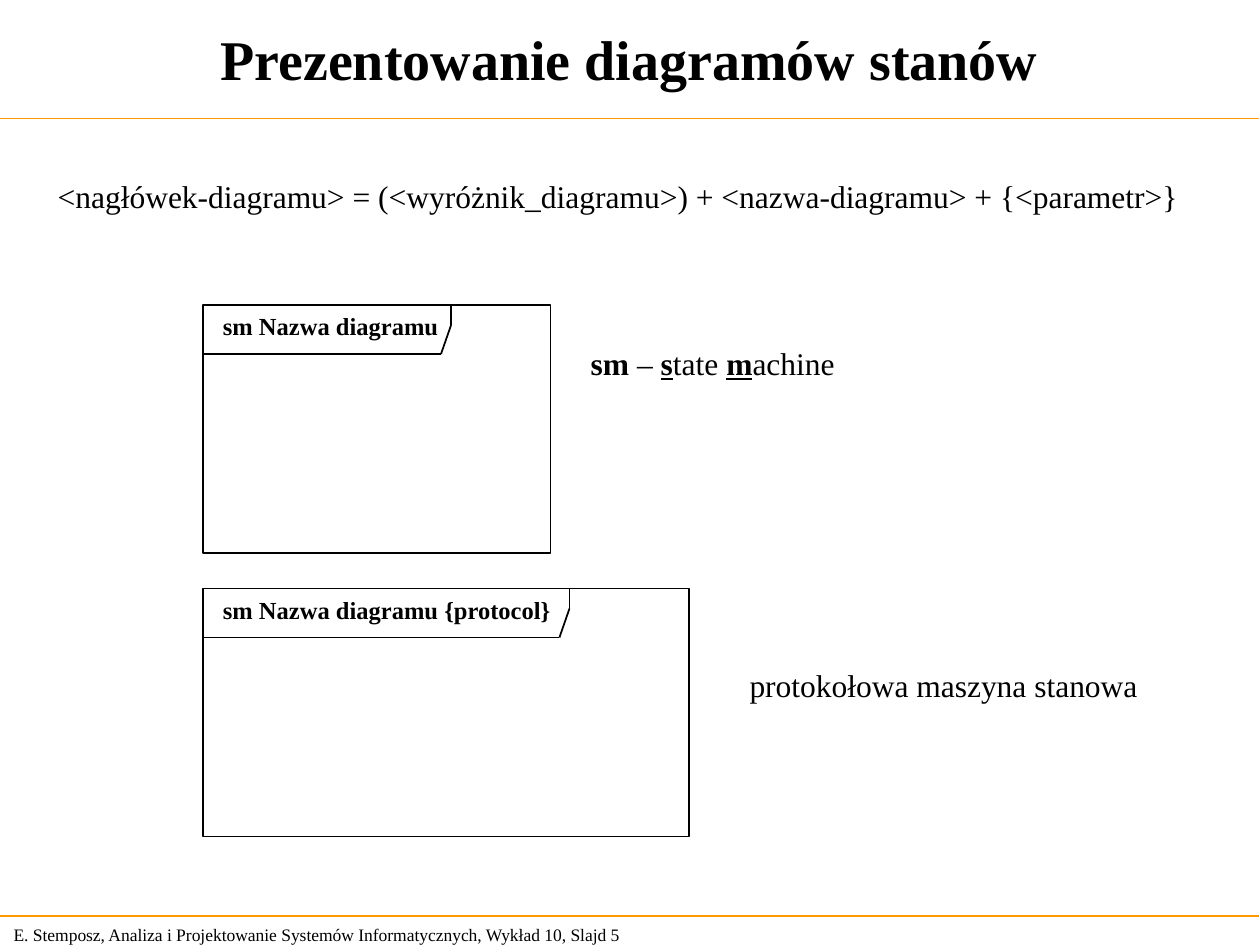
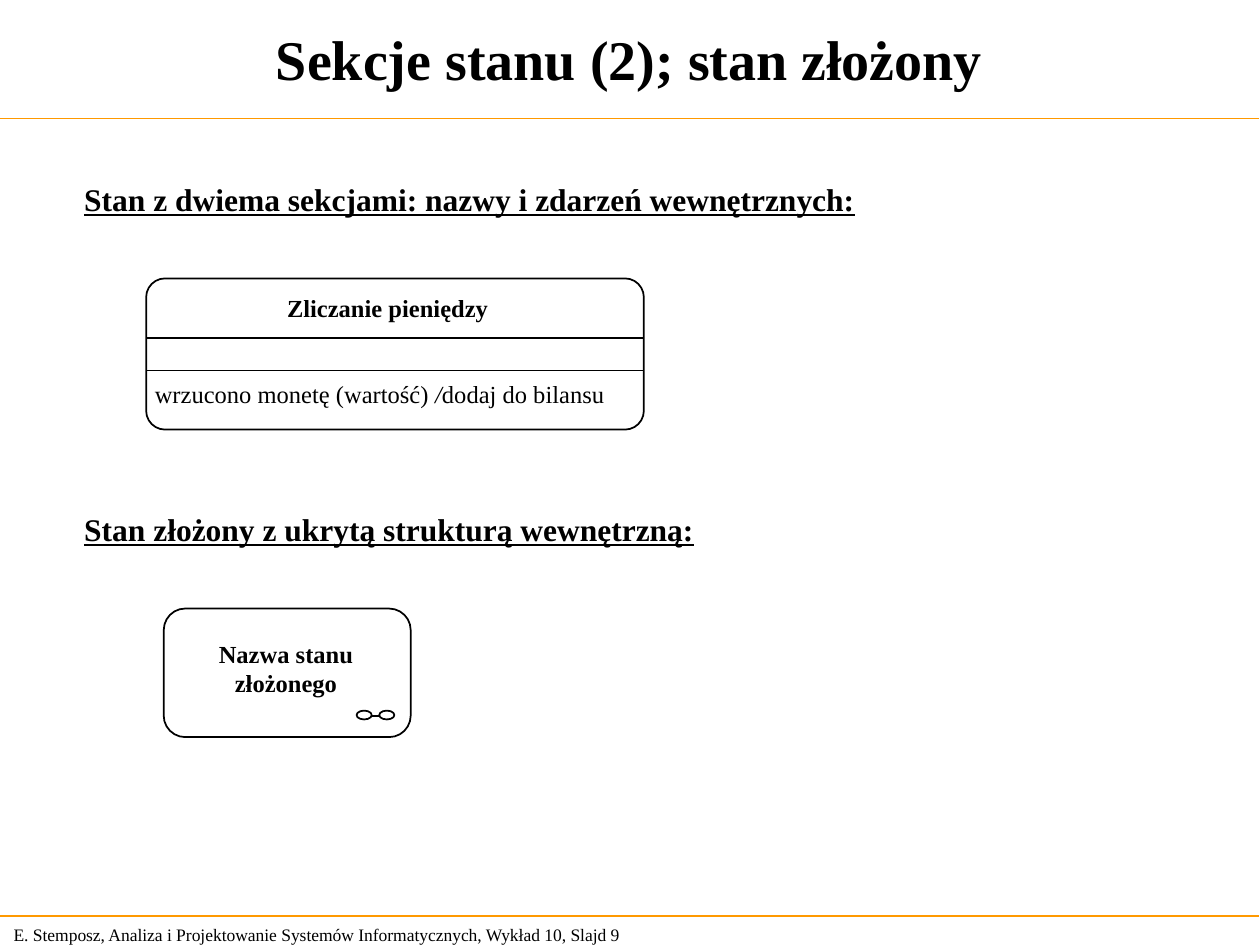
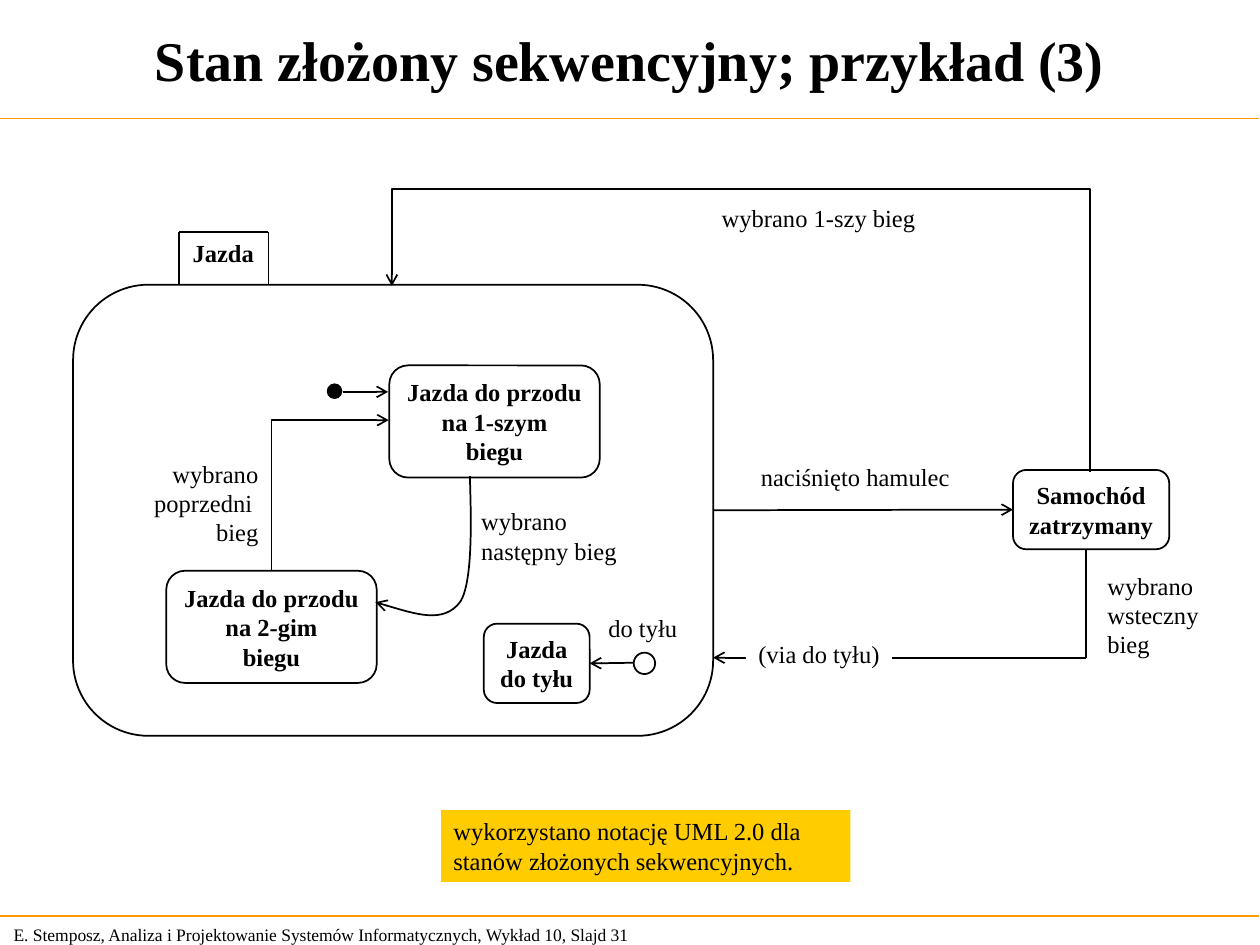
from lxml import etree
from pptx import Presentation
from pptx import util as u
from pptx.dml.color import RGBColor
from pptx.enum import shapes, text
from pptx.oxml.ns import qn

COLORS = {"ink": "000000", "paper": "FFFFFF", "rule": "FF9900", "note": "FFCC00"}
FONT = "Times New Roman"
FOOTER = "E. Stemposz, Analiza i Projektowanie Systemów Informatycznych, Wykład 10, Slajd "
LEFT, CENTER, RIGHT = text.PP_ALIGN.LEFT, text.PP_ALIGN.CENTER, text.PP_ALIGN.RIGHT
SIDE_MARGINS = {LEFT: (0.1, 0), CENTER: (0.04, 0.04), RIGHT: (0, 0.1)}
BOLD, PLAIN, ITALIC, INITIAL = {"bold": True}, {}, {"italic": True}, {"bold": True, "underline": True}


def color(name):
    return RGBColor.from_string(COLORS[name])


def inches(*lengths):
    return [u.Inches(length) for length in lengths]


def write(frame, lines, size, style=PLAIN, align=LEFT, anchor=text.MSO_ANCHOR.TOP):
    frame.word_wrap = True
    frame.vertical_anchor = anchor
    frame.auto_size = text.MSO_AUTO_SIZE.NONE
    frame.margin_left, frame.margin_right = inches(*SIDE_MARGINS[align])
    for index, line in enumerate(lines):
        paragraph = frame.add_paragraph() if index else frame.paragraphs[0]
        paragraph.alignment = align
        for words, run_style in [(line, style)] if isinstance(line, str) else line:
            run = paragraph.add_run()
            run.text = words
            run.font.name = FONT
            run.font.size = u.Pt(size)
            run.font.color.rgb = color("ink")
            for attribute, value in run_style.items():
                setattr(run.font, attribute, value)


def add_text(slide, box, lines, size=14, **options):
    shape = slide.shapes.add_textbox(*inches(*box))
    write(shape.text_frame, lines, size, **options)


def add_box(slide, kind, box, fill=None, outline=True, corner=None):
    shape = slide.shapes.add_shape(kind, *inches(*box))
    shape.shadow.inherit = False
    if corner is not None:
        shape.adjustments[0] = corner
    if fill:
        shape.fill.solid()
        shape.fill.fore_color.rgb = color(fill)
    else:
        shape.fill.background()
    if outline:
        draw_line(shape)
    else:
        shape.line.fill.background()
    return shape


def add_rectangle(slide, box, **options):
    return add_box(slide, shapes.MSO_SHAPE.RECTANGLE, box, **options)


def add_ellipse(slide, box, **options):
    return add_box(slide, shapes.MSO_SHAPE.OVAL, box, **options)


def add_state(slide, box, lines=(), fill="paper", corner=0.167):
    state = add_box(slide, shapes.MSO_SHAPE.ROUNDED_RECTANGLE, box, fill=fill, corner=corner)
    if lines:
        write(state.text_frame, lines, 14, style=BOLD, align=CENTER, anchor=text.MSO_ANCHOR.MIDDLE)
    return state


def draw_line(shape, name="ink", width=1, arrow=None):
    shape.line.color.rgb = color(name)
    shape.line.width = u.Pt(width)
    if arrow:
        etree.SubElement(shape.line._get_or_add_ln(), qn(f"a:{arrow}End"), type="arrow")


def add_line(slide, start, end, kind=shapes.MSO_CONNECTOR.STRAIGHT, **options):
    connector = slide.shapes.add_connector(kind, *inches(*start, *end))
    draw_line(connector, **options)
    etree.SubElement(connector._element.spPr, qn("a:effectLst"))
    return connector


def add_elbow(slide, preset, box, rotation, flips, adjustment=None):
    left, top, width, height = box
    connector = add_line(slide, (left, top), (left + width, top + height),
                         kind=shapes.MSO_CONNECTOR.ELBOW, arrow="tail")
    properties = connector._element.spPr
    transform = properties.find(qn("a:xfrm"))
    transform.set("rot", str(rotation * 60000))
    for flip in flips:
        transform.set(flip, "1")
    geometry = properties.find(qn("a:prstGeom"))
    geometry.set("prst", preset)
    if adjustment is not None:
        guides = geometry.find(qn("a:avLst"))
        etree.SubElement(guides, qn("a:gd"), name="adj1", fmla=f"val {round(adjustment * 100000)}")


def add_curve(slide, start, controls, arrow):
    builder = slide.shapes.build_freeform(*inches(*start), scale=1.0)
    builder.add_line_segments([inches(*point) for point in controls], close=False)
    shape = builder.convert_to_shape()
    shape.shadow.inherit = False
    shape.fill.background()
    draw_line(shape, arrow=arrow)
    outline = shape._element.find(".//" + qn("a:path"))
    segments = outline.findall(qn("a:lnTo"))
    for first in range(0, len(segments), 3):
        bezier = etree.SubElement(outline, qn("a:cubicBezTo"))
        for segment in segments[first:first + 3]:
            bezier.append(segment[0])
            outline.remove(segment)


def add_slide(presentation, title, number, title_box=(0, 0, 9.99, 0.92)):
    slide = presentation.slides.add_slide(presentation.slide_layouts[5])
    add_text(slide, (0.01, 7.28, 5.24, 0.27), [FOOTER + str(number)], size=10,
             anchor=text.MSO_ANCHOR.MIDDLE)
    for height in (0.94, 7.27):
        add_line(slide, (-0.01, height), (9.99, height), name="rule", width=0.75)
    shape = slide.shapes.title
    shape.left, shape.top, shape.width, shape.height = inches(*title_box)
    write(shape.text_frame, [title], 32, style=BOLD, align=CENTER, anchor=text.MSO_ANCHOR.MIDDLE)
    return slide


def add_diagram_frame(slide, top, width, tab_right, heading):
    left = 1.61
    add_rectangle(slide, (left, top, width, 1.97))
    add_text(slide, (left + 0.06, top, tab_right - left - 0.06, 0.34), [heading], style=BOLD)
    corners = [(left, top + 0.39), (tab_right - 0.08, top + 0.39),
               (tab_right, top + 0.16), (tab_right, top)]
    for start, end in zip(corners, corners[1:]):
        add_line(slide, start, end)


def build_diagram_headers(presentation):
    slide = add_slide(presentation, "Prezentowanie diagramów stanów", 5)
    add_diagram_frame(slide, 2.42, 2.76, 3.58, "sm Nazwa diagramu")
    add_text(slide, (4.59, 2.68, 2.13, 0.4), [[
        ("sm", BOLD), (" – ", PLAIN), ("s", INITIAL), ("tate ", PLAIN),
        ("m", INITIAL), ("achine", PLAIN)]], size=18)
    add_diagram_frame(slide, 4.67, 3.86, 4.52, "sm Nazwa diagramu {protocol}")
    add_text(slide, (5.85, 5.24, 3.28, 0.4), ["protokołowa maszyna stanowa"], size=18)
    add_text(slide, (0.36, 1.36, 9.1, 0.4), [
        "<nagłówek-diagramu> = (<wyróżnik_diagramu>) + <nazwa-diagramu> + {<parametr>}"], size=18)


def build_state_sections(presentation):
    slide = add_slide(presentation, "Sekcje stanu (2); stan złożony", 9)
    add_state(slide, (1.16, 2.21, 3.95, 1.2), corner=0.125)
    add_text(slide, (1.13, 2.96, 3.89, 0.34), [[
        ("wrzucono monetę (wartość) ", PLAIN), ("/", ITALIC), ("dodaj do bilansu", PLAIN)]])
    add_text(slide, (2.18, 2.28, 1.8, 0.34), ["Zliczanie pieniędzy"], style=BOLD)
    for height in (2.68, 2.94):
        add_line(slide, (1.16, height), (5.11, height))
    for top, heading in ((1.38, "Stan z dwiema sekcjami: nazwy i zdarzeń wewnętrznych:"),
                         (4, "Stan złożony z ukrytą strukturą wewnętrzną:")):
        add_text(slide, (0.57, top, 8.61, 0.4), [heading], size=18, style=INITIAL)
    add_state(slide, (1.3, 4.83, 1.96, 1.02), fill=None)
    add_text(slide, (1.64, 5.02, 1.26, 0.57), ["Nazwa stanu", "złożonego"], style=BOLD, align=CENTER)
    for left in (2.83, 3.01):
        add_ellipse(slide, (left, 5.64, 0.12, 0.07))
    add_line(slide, (2.95, 5.68), (3.01, 5.68))


def build_driving_example(presentation):
    slide = add_slide(presentation, "Stan złożony sekwencyjny; przykład (3)", 31,
                      title_box=(0.04, 0.04, 9.92, 0.85))
    note = add_rectangle(slide, (3.5, 6.43, 3.25, 0.57), fill="note", outline=False)
    write(note.text_frame, ["wykorzystano notację UML 2.0 dla stanów złożonych sekwencyjnych."], 14)

    driving = add_state(slide, (0.58, 2.26, 5.08, 3.58))
    stopped = add_state(slide, (8.04, 3.73, 1.24, 0.63), ["Samochód", "zatrzymany"])
    add_state(slide, (3.09, 2.9, 1.67, 0.89), ["Jazda do przodu", "na 1-szym", "biegu"])
    add_state(slide, (1.32, 4.53, 1.67, 0.89), ["Jazda do przodu", "na 2-gim", "biegu"])
    reverse = add_state(slide, (3.84, 4.95, 0.84, 0.63), ["Jazda", "do tyłu"])

    tab = [(1.42, 2.25), (1.42, 1.84), (2.13, 1.84), (2.13, 2.25)]
    for start, end in zip(tab, tab[1:]):
        add_line(slide, start, end)
    add_text(slide, (1.43, 1.84, 0.69, 0.34), ["Jazda"], style=BOLD)

    add_ellipse(slide, (2.6, 3.05, 0.11, 0.11), fill="ink")
    add_line(slide, (2.72, 3.11), (3.08, 3.11), arrow="tail")
    add_elbow(slide, "bentConnector2", (2.02, 3.47, 1.2, 0.93), 90, ("flipH", "flipV"))
    add_elbow(slide, "bentConnector3", (5.14, 0.24, 1.48, 5.54), 270, ("flipV",), adjustment=1.52)
    add_curve(slide, (2.98, 4.78), [(3.25, 4.86), (3.52, 4.95), (3.65, 4.78),
                                    (3.77, 4.61), (3.73, 3.93), (3.73, 3.78)], arrow="head")

    brake = add_line(slide, (5.66, 4.05), (8.04, 4.05), arrow="tail")
    brake.begin_connect(driving, 3)
    brake.end_connect(stopped, 1)
    add_ellipse(slide, (5.03, 5.18, 0.17, 0.17), fill="paper")
    entry = add_line(slide, (4.68, 5.26), (5.03, 5.26), arrow="head")
    entry.begin_connect(reverse, 3)
    add_line(slide, (8.62, 4.36), (8.62, 5.22))
    add_line(slide, (8.62, 5.22), (5.66, 5.22), arrow="tail")
    via = add_rectangle(slide, (5.92, 5.02, 1.16, 0.34), fill="paper", outline=False)
    write(via.text_frame, ["(via do tyłu)"], 14)

    for box, lines, align in (
        ((1.12, 3.59, 1.03, 0.8), ["wybrano", "poprzedni ", "bieg"], RIGHT),
        ((3.72, 3.97, 1.28, 0.57), ["wybrano", "następny bieg"], LEFT),
        ((8.69, 4.48, 0.97, 0.8), ["wybrano", "wsteczny", "bieg"], LEFT),
        ((5.94, 3.62, 1.7, 0.34), ["naciśnięto hamulec"], LEFT),
        ((5.63, 1.56, 1.74, 0.34), ["wybrano 1-szy bieg"], LEFT),
        ((4.73, 4.82, 0.74, 0.34), ["do tyłu"], LEFT),
    ):
        add_text(slide, box, lines, align=align)


def main():
    presentation = Presentation()
    presentation.slide_width, presentation.slide_height = inches(10, 7.5)
    build_diagram_headers(presentation)
    build_state_sections(presentation)
    build_driving_example(presentation)
    presentation.save("out.pptx")


if __name__ == "__main__":
    main()
